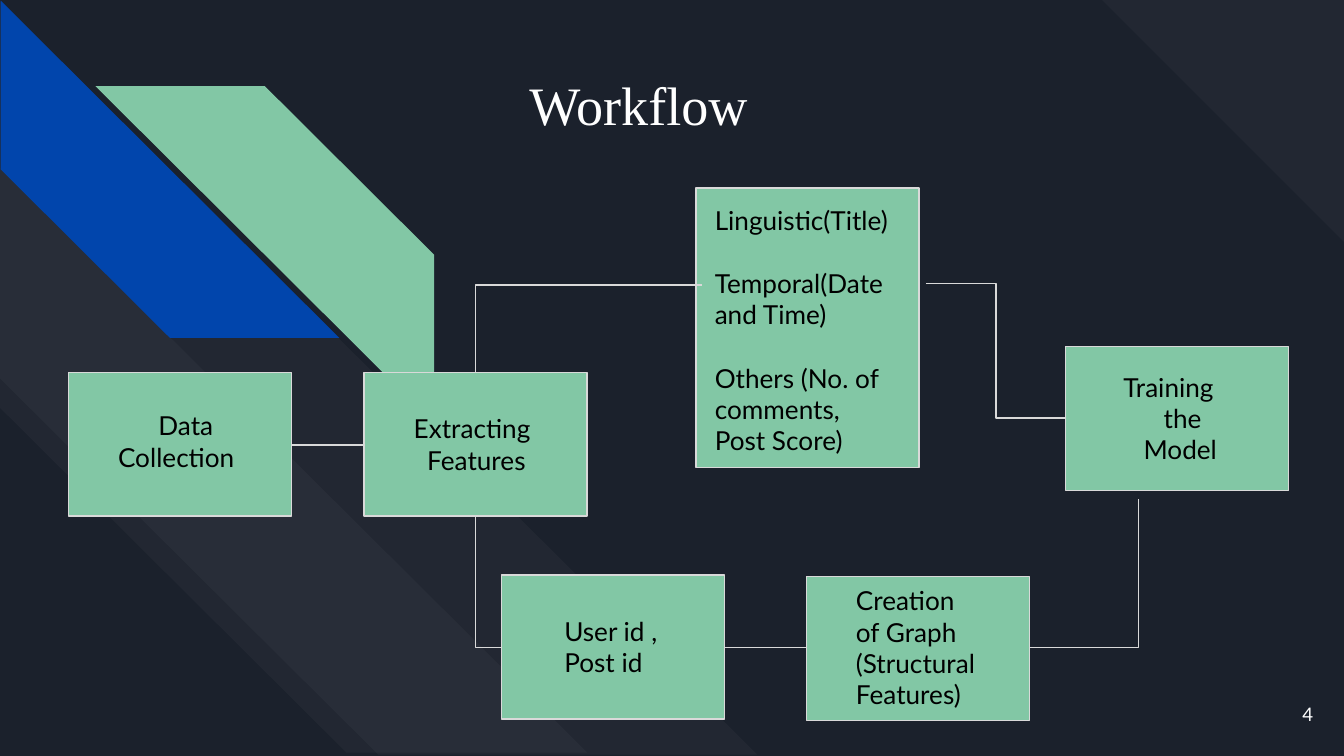
from lxml.etree import SubElement
from pptx import Presentation
from pptx.dml.color import RGBColor
from pptx.enum.shapes import MSO_CONNECTOR, MSO_SHAPE
from pptx.enum.text import MSO_ANCHOR, MSO_AUTO_SIZE, PP_ALIGN
from pptx.oxml.ns import qn
from pptx.util import Inches, Pt

NAVY = RGBColor(0x1B, 0x21, 0x2C)
BLUE = RGBColor(0x01, 0x45, 0xAC)
GREEN = RGBColor(0x82, 0xC7, 0xA5)
GREY = RGBColor(0xD9, 0xD9, 0xD9)
WHITE = RGBColor(0xFF, 0xFF, 0xFF)
BLACK = RGBColor(0, 0, 0)

BOX_W, BOX_H = 1.66, 1.07
LINE_GAP = 17  # one text line, in points


def add_filled(s, kind, box, color):
    sp = s.shapes.add_shape(kind, *map(Inches, box))
    sp.shadow.inherit = False
    sp.fill.solid()
    sp.fill.fore_color.rgb = color
    sp.line.fill.background()
    return sp


def add_stripe(s, box, color, adj=0.5, rotation=270, alpha=None, flip=False):
    sp = add_filled(s, MSO_SHAPE.DIAGONAL_STRIPE, box, color)
    sp.adjustments[0] = adj
    sp.rotation = rotation
    if flip:
        sp._element.spPr.find(qn("a:xfrm")).set("flipH", "1")
    if alpha:
        clr = sp._element.spPr.find(qn("a:solidFill"))[0]
        SubElement(clr, qn("a:alpha")).set("val", str(alpha * 1000))


def add_box(s, left, top, height=BOX_H):
    sp = add_filled(s, MSO_SHAPE.RECTANGLE, (left, top, BOX_W, height), GREEN)
    sp.line.color.rgb = GREY
    sp.line.width = Pt(0.75)


def add_text(s, box, paragraphs, font=None, para=None, anchor=MSO_ANCHOR.TOP,
             auto_size=MSO_AUTO_SIZE.SHAPE_TO_FIT_TEXT):
    """Each paragraph is (text, first-line indent in inches, space before in points)."""
    tf = s.shapes.add_textbox(*map(Inches, box)).text_frame
    frame = {"word_wrap": True, "auto_size": auto_size, "vertical_anchor": anchor}
    for side in ("left", "top", "right", "bottom"):
        frame["margin_" + side] = Inches(0.1)
    for name, value in frame.items():
        setattr(tf, name, value)
    for i, (text, indent, before) in enumerate(paragraphs):
        p = tf.add_paragraph() if i else tf.paragraphs[0]
        for name, value in {"space_before": Pt(before), **(para or {})}.items():
            setattr(p, name, value)
        if indent:
            pPr = p._p.get_or_add_pPr()
            pPr.set("marL", "0")
            pPr.set("indent", str(Inches(indent)))
        r = p.add_run()
        r.text = text
        style = {"name": "Lato", "size": Pt(14), **(font or {})}
        color = style.pop("color", BLACK)
        for name, value in style.items():
            setattr(r.font, name, value)
        r.font.color.rgb = color


def add_link(s, start, end, geometry="line"):
    kind = MSO_CONNECTOR.STRAIGHT if geometry == "line" else MSO_CONNECTOR.ELBOW
    c = s.shapes.add_connector(kind, *map(Inches, start + end))
    c.line.color.rgb = GREY
    c.line.width = Pt(0.75)
    spPr = c._element.spPr
    spPr.find(qn("a:prstGeom")).set("prst", geometry)
    SubElement(spPr, qn("a:effectLst"))


def main():
    prs = Presentation()
    prs.slide_width = Inches(10)
    prs.slide_height = Inches(10 * 9 / 16)  # 16:9
    s = prs.slides.add_slide(prs.slide_layouts[6])
    s.background.fill.solid()
    s.background.fill.fore_color.rgb = NAVY

    # Background stripes
    add_stripe(s, (8.2, 0, 1.8, 1.8), WHITE, adj=0, rotation=90, alpha=3)
    add_stripe(s, (0.01, -0.01, 5.61, 5.64), WHITE, alpha=3)
    add_stripe(s, (0.01, 1.24, 4.35, 4.37), WHITE, adj=0.59, alpha=3)
    add_stripe(s, (0.01, 0, 2.51, 2.52), BLUE)
    add_stripe(s, (0.71, 0.64, 2.52, 2.51), GREEN, rotation=0, flip=True)

    # Title
    add_text(s, (3.14, 0.36, 3.28, 0.69), [("Workflow", 0.7, 0)],
             font={"name": "Times New Roman", "size": Pt(29), "color": WHITE},
             para={"line_spacing": 1.15})

    # Step boxes
    for left, top in ((0.51, 2.77), (2.71, 2.77), (3.73, 4.28), (6, 4.29), (7.93, 2.58)):
        add_box(s, left, top)
    add_box(s, 5.18, 1.4, 2.08)

    # Links between steps; each elbow leaves its start horizontally
    add_link(s, (2.17, 3.31), (2.71, 3.31))
    add_link(s, (5.39, 4.82), (6, 4.82))
    add_link(s, (5.22, 2.12), (3.54, 2.77), "bentConnector2")
    add_link(s, (3.73, 4.82), (3.54, 3.84), "bentConnector2")
    add_link(s, (7.66, 4.82), (8.47, 3.71), "bentConnector2")
    add_link(s, (6.89, 2.11), (7.93, 3.11), "bentConnector3")

    # Step labels
    labels = (
        ((0.78, 2.95, 1.12, 0.67), [("Data Collection", 0.3, 0)]),
        ((2.98, 2.97, 1.12, 0.67), [("Extracting", 0, 0), ("Features", 0.1, 0)]),
        ((5.22, 1.42, 1.66, 2.09), [("Linguistic(Title)", 0, 0),
                                    ("Temporal(Date and Time)", 0, LINE_GAP),
                                    ("Others (No. of comments,", 0, LINE_GAP),
                                    ("Post Score)", 0, 0)]),
        ((4, 4.48, 1.12, 0.67), [("User id ,", 0.1, 0), ("Post id", 0.1, 0)]),
        ((6.27, 4.25, 1.12, 1.14), [("Creation of Graph", 0, 0),
                                    ("(Structural Features)", 0, 0)]),
        ((8.26, 2.66, 1.12, 0.91), [("Training", 0, 0), ("the", 0.3, 0), ("Model", 0.15, 0)]),
    )
    for box, paragraphs in labels:
        add_text(s, box, paragraphs)

    # Slide number
    add_text(s, (9.27, 5.1, 0.6, 0.43), [("4", 0, 0)],
             font={"size": Pt(10), "color": WHITE}, para={"alignment": PP_ALIGN.RIGHT},
             anchor=MSO_ANCHOR.MIDDLE, auto_size=MSO_AUTO_SIZE.NONE)

    prs.save("out.pptx")


if __name__ == "__main__":
    main()
